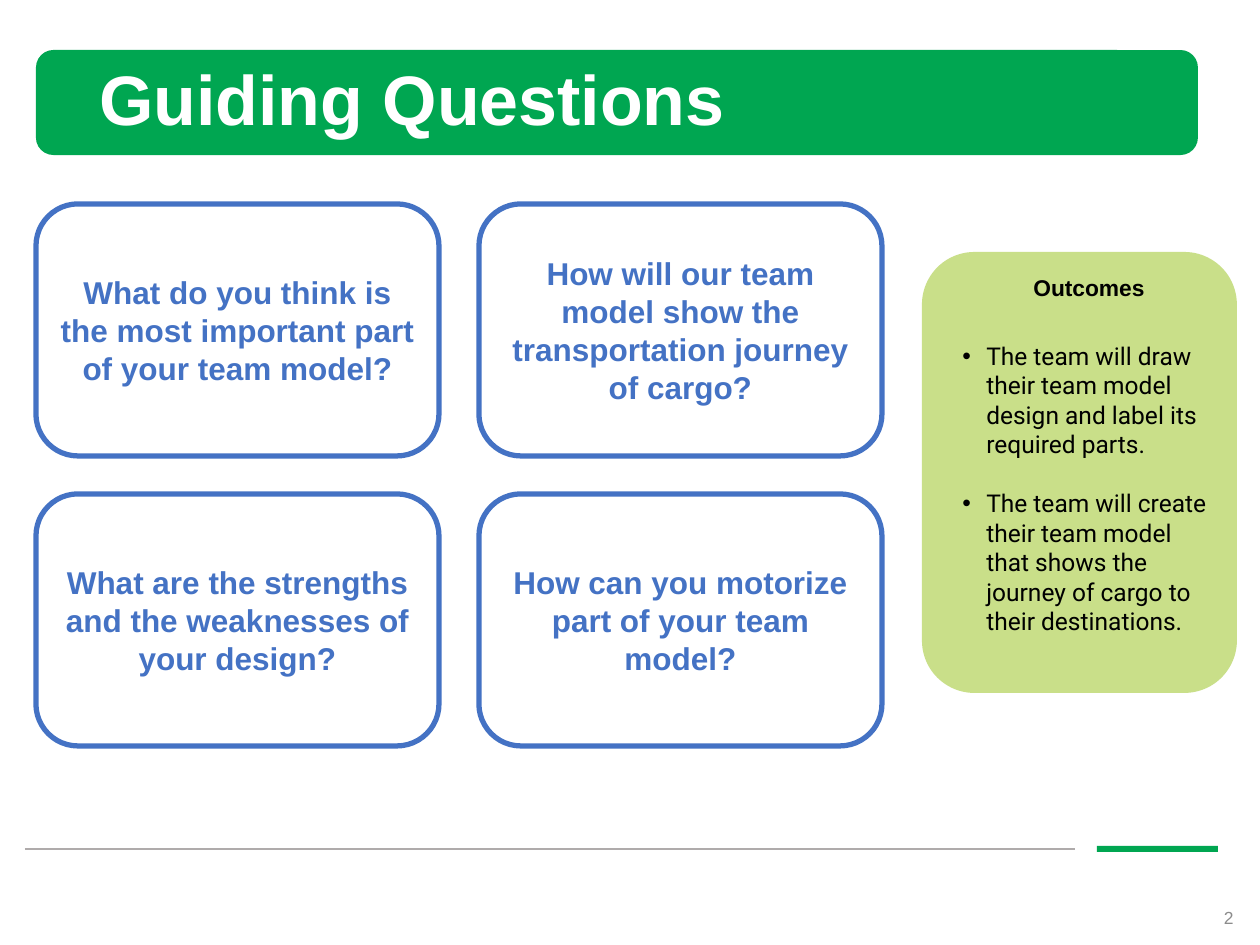
from lxml import etree
from pptx import Presentation, util as u
from pptx.dml.color import RGBColor
from pptx.enum import shapes, text
from pptx.oxml import ns

PX = 914400 / 126
GREEN, BLUE, LIME, WHITE = "00A651", "4472C4", "C9DF89", "FFFFFF"


def paint(color_format, color):
    color_format.rgb = RGBColor.from_string(color)


def add_box(kind, left, top, width, height, fill, outline=None):
    box = slide.shapes.add_shape(kind, *(round(n * PX) for n in (left, top, width, height)))
    box.shadow.inherit = False
    box.fill.solid()
    paint(box.fill.fore_color, fill)
    if outline:
        paint(box.line.color, outline)
        box.line.width = u.Pt(3)
    else:
        box.line.fill.background()
    return box


prs = Presentation()
prs.slide_width, prs.slide_height = round(1260 * PX), round(945 * PX)
slide = prs.slides.add_slide(prs.slide_layouts[6])
RECT = shapes.MSO_SHAPE.RECTANGLE
ROUNDED = shapes.MSO_SHAPE.ROUNDED_RECTANGLE

# Footer rule and accent
add_box(RECT, 1097, 846, 121, 6, GREEN)
rule = slide.shapes.add_connector(
    shapes.MSO_CONNECTOR.STRAIGHT, *(round(n * PX) for n in (25, 849, 1075, 849)))
paint(rule.line.color, "AFABAB")
rule.line.width = u.Pt(1)
etree.SubElement(rule._element.spPr, ns.qn("a:effectLst"))

# Title banner, with the title and page number over it
add_box(ROUNDED, 36, 50, 1162, 105, GREEN)
labels = [
    ("2", (1197, 903, 49, 29), 10, "8C8C8C", False, text.PP_ALIGN.RIGHT, 1),
    ("Guiding Questions", (87, 50, 1086, 105), 40, WHITE, True, text.PP_ALIGN.LEFT, 0.9),
]
for words, place, size, color, bold, align, spacing in labels:
    label = slide.shapes.add_textbox(*(round(n * PX) for n in place)).text_frame
    label.word_wrap = True
    label.vertical_anchor = text.MSO_ANCHOR.MIDDLE
    label.text = words
    line = label.paragraphs[0]
    line.alignment = align
    line.line_spacing = spacing
    font = line.runs[0].font
    font.name, font.size, font.bold = "Arial", u.Pt(size), bold
    paint(font.color, color)

# Outcomes panel
panel = add_box(ROUNDED, 922, 252, 315, 441, LIME).text_frame
panel.word_wrap = True
panel.vertical_anchor = text.MSO_ANCHOR.TOP
panel.margin_left, panel.margin_top = round(25 * PX), round(6 * PX)
panel.margin_right, panel.margin_bottom = round(6 * PX), round(13 * PX)
heading = panel.paragraphs[0]
heading.text = "Outcomes"
heading.alignment = text.PP_ALIGN.CENTER
heading.space_after = u.Pt(23)
font = heading.runs[0].font
font.name, font.size, font.bold = "Arial", u.Pt(13), True
paint(font.color, "000000")

outcomes = [
    "The team will draw their team model design and label its required parts.",
    "The team will create their team model that shows the journey of cargo to their destinations.",
]
for number, outcome in enumerate(outcomes):
    item = panel.add_paragraph()
    item.text = outcome
    item.alignment = text.PP_ALIGN.LEFT
    item.space_before = u.Pt(17 if number else 0)
    props = item._p.get_or_add_pPr()
    props.set("marL", str(round(24 * PX)))
    props.set("indent", str(-round(24 * PX)))
    etree.SubElement(props, ns.qn("a:buFont"), typeface="Arial")
    etree.SubElement(props, ns.qn("a:buChar"), char="•")
    font = item.runs[0].font
    font.name, font.size, font.bold = "Roboto", u.Pt(14), False
    paint(font.color, "000000")

# Question cards, two by two
questions = [
    "What do you think is the most important part of your team model?",
    "How will our team model show the transportation journey of cargo?",
    "What are the strengths and the weaknesses of your design?",
    "How can you motorize part of your team model?",
]
for number, question in enumerate(questions):
    row, column = divmod(number, 2)
    card = add_box(ROUNDED, 36 + 443 * column, 204 + 290 * row, 403, 252, WHITE, BLUE).text_frame
    card.word_wrap = True
    card.vertical_anchor = text.MSO_ANCHOR.MIDDLE
    card.text = question
    card.paragraphs[0].alignment = text.PP_ALIGN.CENTER
    font = card.paragraphs[0].runs[0].font
    font.name, font.size, font.bold = "Arial", u.Pt(18), True
    paint(font.color, BLUE)

prs.save("out.pptx")
